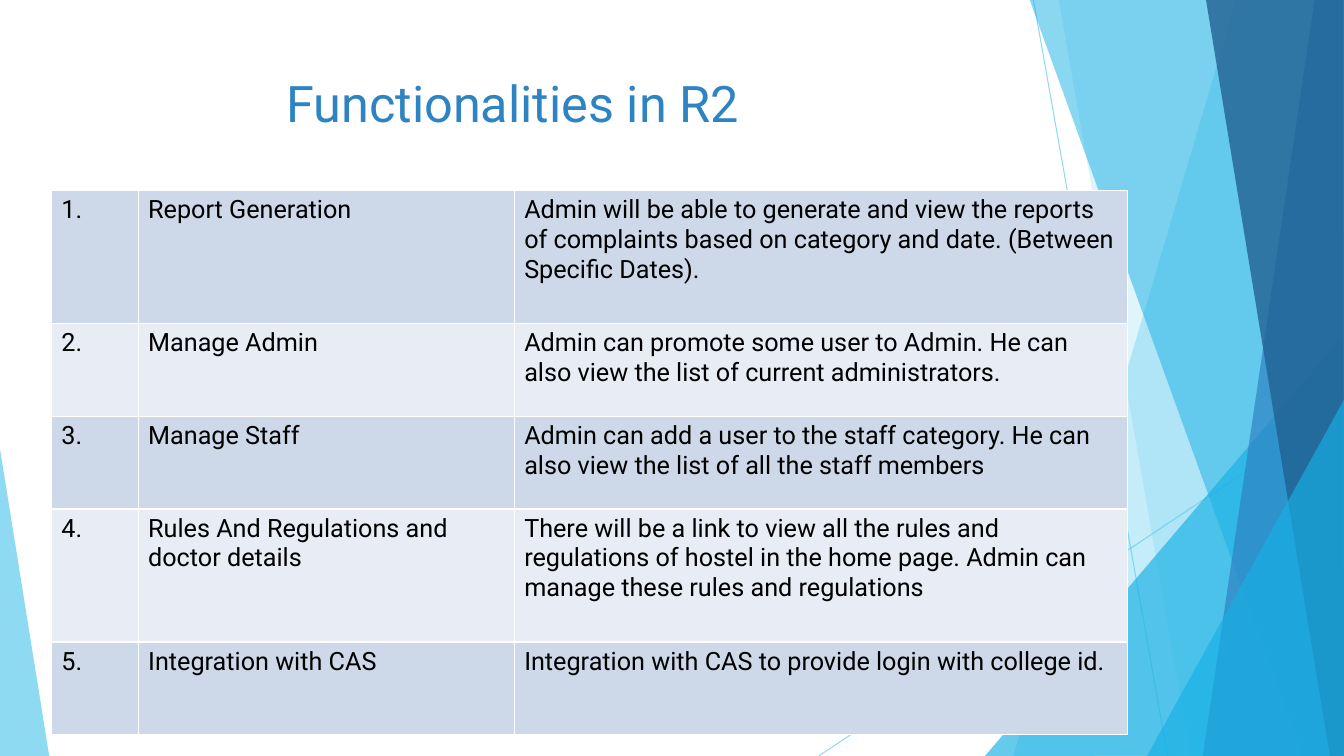
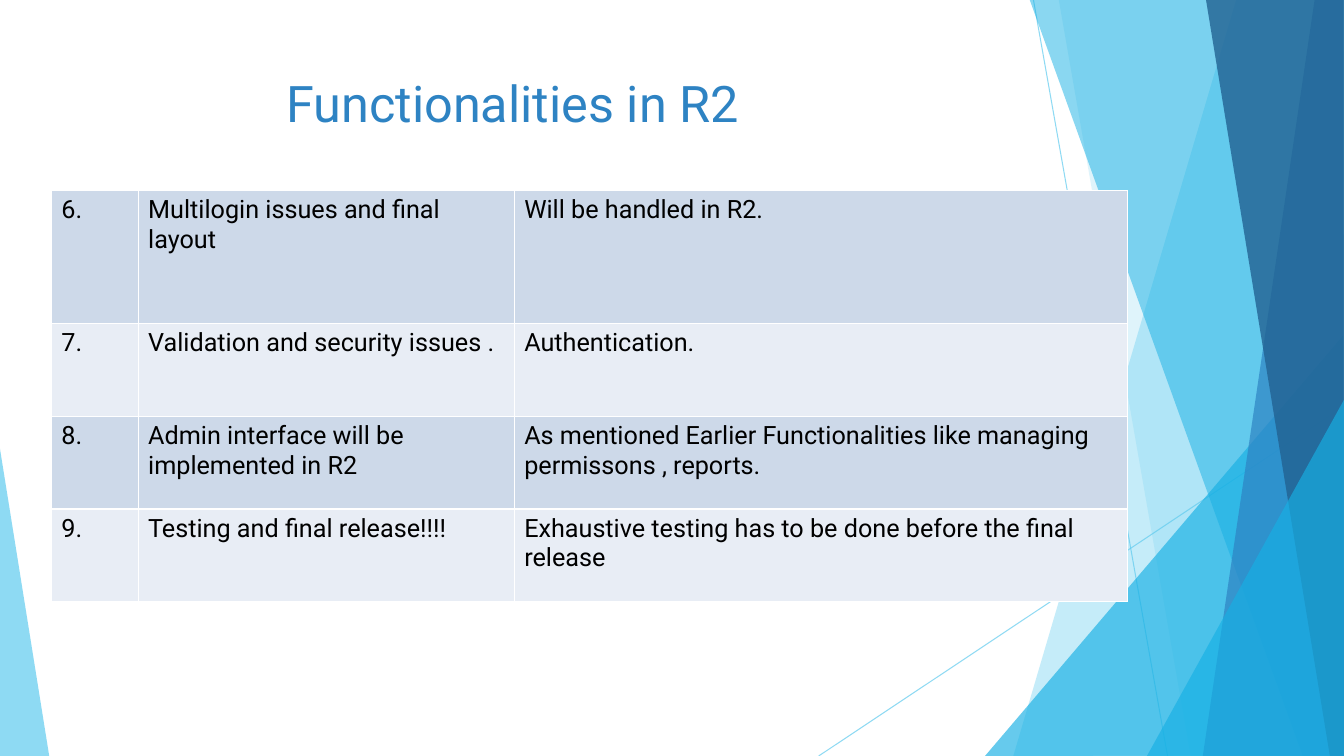
from typing import Any, NamedTuple

from lxml import etree
from pptx import Presentation
from pptx import util as u
from pptx.dml.color import RGBColor
from pptx.enum import shapes, text
from pptx.oxml import ns

SKY = RGBColor(0x5F, 0xCB, 0xEF)
CYAN = RGBColor(0x17, 0xB0, 0xE4)
BLUE = RGBColor(0x2E, 0x83, 0xC3)
NAVY = RGBColor(0x22, 0x62, 0x92)
BLACK = RGBColor(0, 0, 0)
WHITE = RGBColor(0xFF, 0xFF, 0xFF)
ROW_BANDS = (RGBColor(0xCD, 0xD9, 0xE9), RGBColor(0xE8, 0xED, 0xF5))

FONT = "Roboto"
TITLE_FONT = {"name": FONT, "size": u.Pt(36)}
CELL_FONT = {"name": FONT, "size": u.Pt(18), "bold": False}
TITLE_BOX = {
    "left": u.Inches(0.74),
    "top": u.Inches(0.67),
    "width": u.Inches(9.4),
    "height": u.Inches(1.44),
}
TITLE_FRAME = {
    "margin_left": u.Inches(2.1),
    "vertical_anchor": text.MSO_ANCHOR.TOP,
    "auto_size": text.MSO_AUTO_SIZE.NONE,
    "word_wrap": True,
}
TABLE_FLAGS = {"first_row": False, "horz_banding": False}
COLUMN_WIDTHS = (0.86, 3.73, 6.08)
TALL_ROW, SHORT_ROW = 1.32, 0.92


class Ray(NamedTuple):
    start: tuple[float, float]
    end: tuple[float, float]


class Facet(NamedTuple):
    corners: list[tuple[float, float]]
    color: RGBColor
    opacity: int


class Feature(NamedTuple):
    number: str
    name: str
    details: str
    height: float = SHORT_ROW


RAYS = [Ray((10.25, 0), (11.58, 7.5)), Ray((8.12, 7.5), (13.33, 4.03))]
FACETS = [
    Facet([(-0.01, 4.39), (0.49, 7.51), (-0.01, 7.5)], SKY, 70),
    Facet([(12.26, 0), (10.05, 7.5), (13.32, 7.49), (13.33, -0.01)], SKY, 36),
    Facet([(10.5, -0.01), (11.81, 7.5), (13.33, 7.5), (13.32, -0.01)], SKY, 20),
    Facet([(9.77, 7.5), (13.32, 3.33), (13.33, 7.5)], CYAN, 66),
    Facet([(10.21, -0.01), (12.92, 7.5), (13.33, 7.49), (13.33, -0.01)], CYAN, 50),
    Facet([(13.04, -0.01), (11.93, 7.5), (13.33, 7.5), (13.32, -0.01)], BLUE, 70),
    Facet([(11.96, -0.01), (13.19, 7.5), (13.35, 7.5), (13.33, -0.01)], NAVY, 80),
    Facet([(11.37, 7.51), (13.35, 3.93), (13.36, 7.5)], CYAN, 66),
]

FEATURE_PAGES = [
    [
        Feature("1.", "Report Generation",
                "Admin will be able to generate and view the reports of complaints "
                "based on category and date. (Between Specific Dates).", TALL_ROW),
        Feature("2.", "Manage Admin",
                "Admin can promote some user to Admin. He can also view the list of "
                "current administrators."),
        Feature("3.", "Manage Staff",
                "Admin can add a user to the staff category. He can also view the "
                "list of all the staff members"),
        Feature("4.", "Rules And Regulations and doctor details",
                "There will be a link to view all the rules and regulations of hostel "
                "in the home page. Admin can manage these rules and regulations",
                TALL_ROW),
        Feature("5.", "Integration with CAS",
                "Integration with CAS to provide login with college id."),
    ],
    [
        Feature("6.", "Multilogin issues and final layout",
                "Will be handled in R2.", TALL_ROW),
        Feature("7.", "Validation and security issues .", "Authentication."),
        Feature("8.", "Admin interface will be implemented in R2",
                "As mentioned Earlier Functionalities like managing permissons , "
                "reports."),
        Feature("9.", "Testing and final release!!!!",
                "Exhaustive testing has to be done before the final release"),
    ],
]


def apply(target: Any, values: dict[str, Any]) -> None:
    for name, value in values.items():
        setattr(target, name, value)


def add_child(parent: Any, tag: str, **attributes: str) -> Any:
    return etree.SubElement(parent, ns.qn(tag), attributes)


def set_opacity(shape: Any, percent: int) -> None:
    for color in shape.element.xpath(".//a:srgbClr"):
        add_child(color, "a:alpha", val=str(percent * 1000))


def draw_ray(slide: Any, ray: Ray) -> Any:
    ends = [u.Inches(value) for value in ray.start + ray.end]
    line = slide.shapes.add_connector(shapes.MSO_CONNECTOR.STRAIGHT, *ends)
    line.line.color.rgb = SKY
    line.line.width = u.Pt(0.75)
    set_opacity(line, 70)
    add_child(line.element.spPr, "a:effectLst")
    return line


def draw_facet(slide: Any, facet: Facet) -> Any:
    first, *others = [(u.Inches(x), u.Inches(y)) for x, y in facet.corners]
    outline = slide.shapes.build_freeform(*first)
    outline.add_line_segments(others, close=True)
    pane = outline.convert_to_shape()
    pane.shadow.inherit = False
    pane.fill.solid()
    pane.fill.fore_color.rgb = facet.color
    pane.line.fill.background()
    set_opacity(pane, facet.opacity)
    return pane


def move_to_layout(backdrop: list[Any], layout: Any) -> None:
    for position, part in enumerate(backdrop):
        part.element.xpath(".//p:cNvPr")[0].set("id", str(100 + position))
        layout.shapes.element.insert(2 + position, part.element)


def write_title(slide: Any, wording: str) -> None:
    title = slide.shapes.title
    apply(title, TITLE_BOX)
    apply(title.text_frame, TITLE_FRAME)
    paragraph = title.text_frame.paragraphs[0]
    paragraph.alignment = text.PP_ALIGN.LEFT
    run = paragraph.add_run()
    run.text = wording
    apply(run.font, TITLE_FONT)
    run.font.color.rgb = BLUE


def format_cell(cell: Any, wording: str, band: RGBColor) -> None:
    properties = cell._tc.get_or_add_tcPr()
    for side in ("a:lnL", "a:lnR", "a:lnT", "a:lnB"):
        border = add_child(properties, side, w=str(u.Pt(1)))
        add_child(add_child(border, "a:solidFill"), "a:srgbClr", val=str(WHITE))
    cell.fill.solid()
    cell.fill.fore_color.rgb = band
    run = cell.text_frame.paragraphs[0].add_run()
    run.text = wording
    apply(run.font, CELL_FONT)
    run.font.color.rgb = BLACK


def draw_features(slide: Any, features: list[Feature]) -> None:
    height = sum(feature.height for feature in features)
    table = slide.shapes.add_table(
        len(features), len(COLUMN_WIDTHS), u.Inches(0.51), u.Inches(1.89),
        u.Inches(sum(COLUMN_WIDTHS)), u.Inches(height)).table
    apply(table, TABLE_FLAGS)
    for column, width in zip(table.columns, COLUMN_WIDTHS):
        column.width = u.Inches(width)
    for index, (row, feature) in enumerate(zip(table.rows, features)):
        row.height = u.Inches(feature.height)
        for cell, wording in zip(row.cells, feature[:3]):
            format_cell(cell, wording, ROW_BANDS[index % 2])


deck = Presentation()
apply(deck, {"slide_width": u.Inches(13.33), "slide_height": u.Inches(7.5)})
title_only = deck.slide_layouts[5]
slides = [deck.slides.add_slide(title_only) for _ in FEATURE_PAGES]
backdrop = [draw_ray(slides[0], ray) for ray in RAYS]
backdrop += [draw_facet(slides[0], facet) for facet in FACETS]
move_to_layout(backdrop, title_only)
for slide, features in zip(slides, FEATURE_PAGES):
    write_title(slide, "Functionalities in R2")
    draw_features(slide, features)
deck.save("out.pptx")
